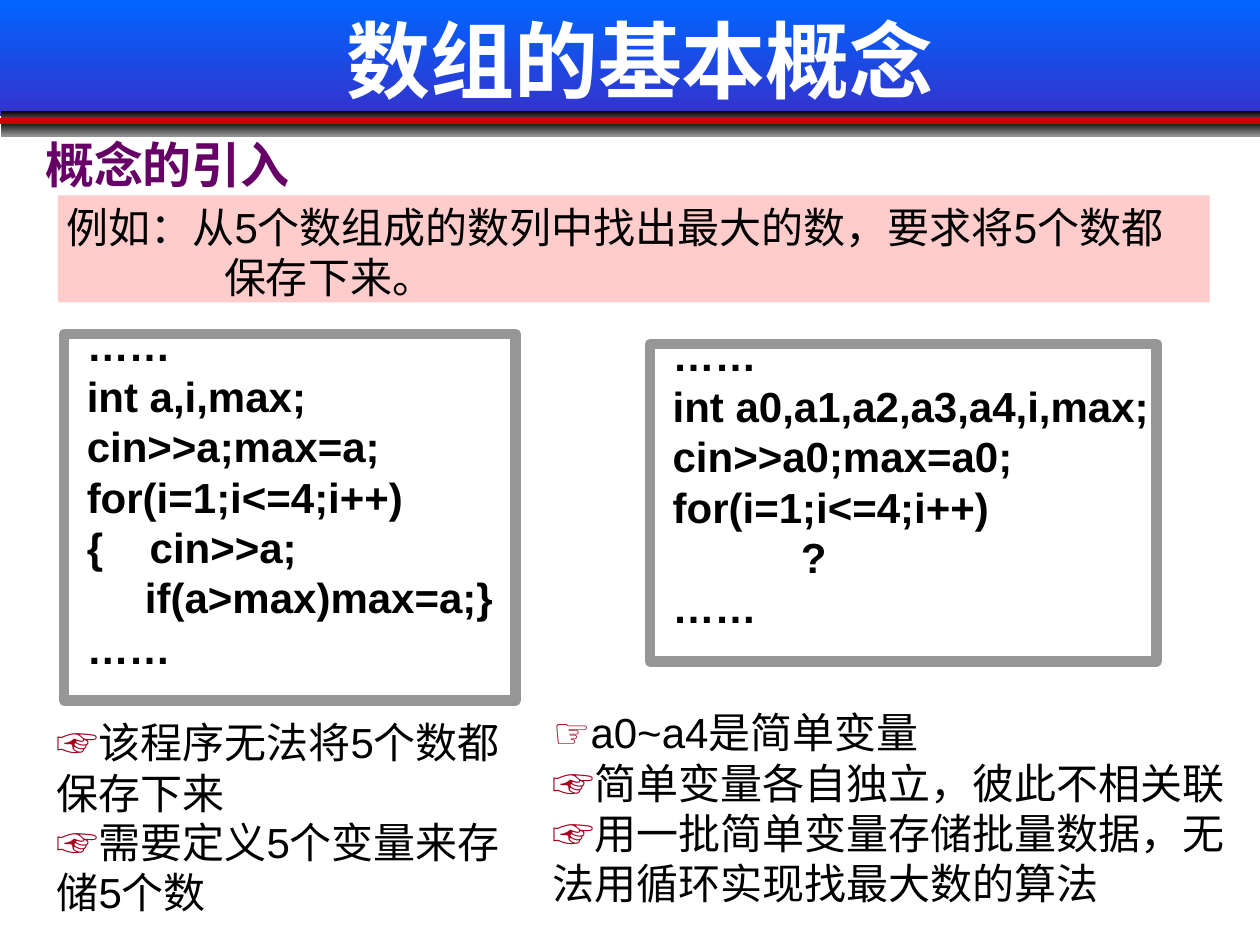
"""Builds a slide that introduces the basic concept of arrays."""
from lxml.etree import SubElement
from pptx import Presentation
from pptx.dml.color import RGBColor
from pptx.enum.shapes import MSO_CONNECTOR, MSO_SHAPE
from pptx.enum.text import MSO_ANCHOR, PP_ALIGN
from pptx.oxml.ns import qn
from pptx.util import Inches, Pt

COLORS = {name: RGBColor.from_string(value) for name, value in {
    "white": "FFFFFF", "black": "000000", "sky": "0066FF", "indigo": "3333CC",
    "silver": "929292", "frame": "969696", "red": "CC0000", "hand": "A50021",
    "purple": "660066", "pink": "FFCCCC"}.items()}


def add_rectangle(page, place, fill=None, border=None):
    shape = page.shapes.add_shape(MSO_SHAPE.RECTANGLE, *map(Inches, place))
    shape.shadow.inherit = False
    if fill is None:
        shape.fill.background()
    elif isinstance(fill, tuple):
        shape.fill.gradient()
        shape.fill.gradient_angle = 270
        for stop, position, color in zip(shape.fill.gradient_stops, (0, 1), fill):
            stop.position = position
            stop.color.rgb = COLORS[color]
    else:
        shape.fill.solid()
        shape.fill.fore_color.rgb = COLORS[fill]
    if border:
        shape.line.color.rgb = COLORS[border]
        shape.line.width = Pt(6)
    else:
        shape.line.fill.background()


def add_text(page, place, lines, size=24, color="black", bold=False, hand=False):
    box = page.shapes.add_textbox(*map(Inches, place))
    box.text_frame.word_wrap = True
    for index, line in enumerate(lines):
        para = box.text_frame.paragraphs[0] if index == 0 else box.text_frame.add_paragraph()
        para.font.name = "Arial"
        para.font.size = Pt(size)
        para.font.bold = bold
        para.font.color.rgb = COLORS[color]
        if hand:
            span = para.add_run()
            span.text = "☞"
            span.font.bold = True
            span.font.color.rgb = COLORS["hand"]
        para.add_run().text = line
    return box


deck = Presentation()
deck.slide_width, deck.slide_height = Inches(10), Inches(7.5)
page = deck.slides.add_slide(deck.slide_layouts[5])

add_rectangle(page, (0, 0, 10, 0.92), ("sky", "indigo"))
for top in (0.88, 0.96):
    add_rectangle(page, (0.01, top, 9.99, 0.12), ("black", "silver"))
rule = page.shapes.add_connector(
    MSO_CONNECTOR.STRAIGHT, 0, Inches(0.96), Inches(10), Inches(0.96))
rule.line.color.rgb = COLORS["red"]
rule.line.width = Pt(3)
SubElement(rule._element.spPr, qn("a:effectLst"))

title = page.shapes.title
title.left, title.top, title.width, title.height = map(Inches, (0.83, -0.03, 8.5, 0.99))
title.text_frame.text = "数组的基本概念"
title.text_frame.vertical_anchor = MSO_ANCHOR.MIDDLE
heading = title.text_frame.paragraphs[0]
heading.alignment = PP_ALIGN.CENTER
heading.font.name = "Arial"
heading.font.size = Pt(48)
heading.font.bold = True
heading.font.color.rgb = COLORS["white"]
page.shapes._spTree.append(title._element)

subtitle = add_text(page, (0.26, 1.07, 3.08, 0.52), ["概念的引入"], 28, "purple", True)
subtitle.text_frame.paragraphs[0].line_spacing = 0.9

add_rectangle(page, (0.46, 1.55, 9.14, 0.85), "pink")
example = add_text(page, (0.43, 1.55, 8.93, 1.1),
                   ["例如：从5个数组成的数列中找出最大的数，要求将5个数都保存下来。"])
properties = example.text_frame.paragraphs[0]._p.get_or_add_pPr()
properties.set("marL", str(Inches(1.25)))
properties.set("indent", str(Inches(-1.25)))

programs = [
    ((0.51, 2.65, 3.58, 2.91), (0.59, 2.49, 3.62, 2.9),
     ["……", "int a,i,max;", "cin>>a;max=a;", "for(i=1;i<=4;i++)",
      "{    cin>>a;", "     if(a>max)max=a;}", "……"]),
    ((5.16, 2.73, 4.02, 2.52), (5.24, 2.57, 4.29, 2.5),
     ["……", "int a0,a1,a2,a3,a4,i,max;", "cin>>a0;max=a0;", "for(i=1;i<=4;i++)",
      "           ?", "……"]),
]
for frame, place, code in programs:
    add_rectangle(page, frame, border="frame")
    add_text(page, place, code, bold=True)

remarks = [
    ((0.35, 5.64, 3.78, 0.91), ["该程序无法将5个数都保存下来"]),
    ((0.35, 6.43, 3.78, 0.91), ["需要定义5个变量来存储5个数"]),
    ((4.29, 5.56, 5.75, 1.7),
     ["a0~a4是简单变量", "简单变量各自独立，彼此不相关联",
      "用一批简单变量存储批量数据，无法用循环实现找最大数的算法"]),
]
for place, lines in remarks:
    add_text(page, place, lines, hand=True)

deck.save("out.pptx")
